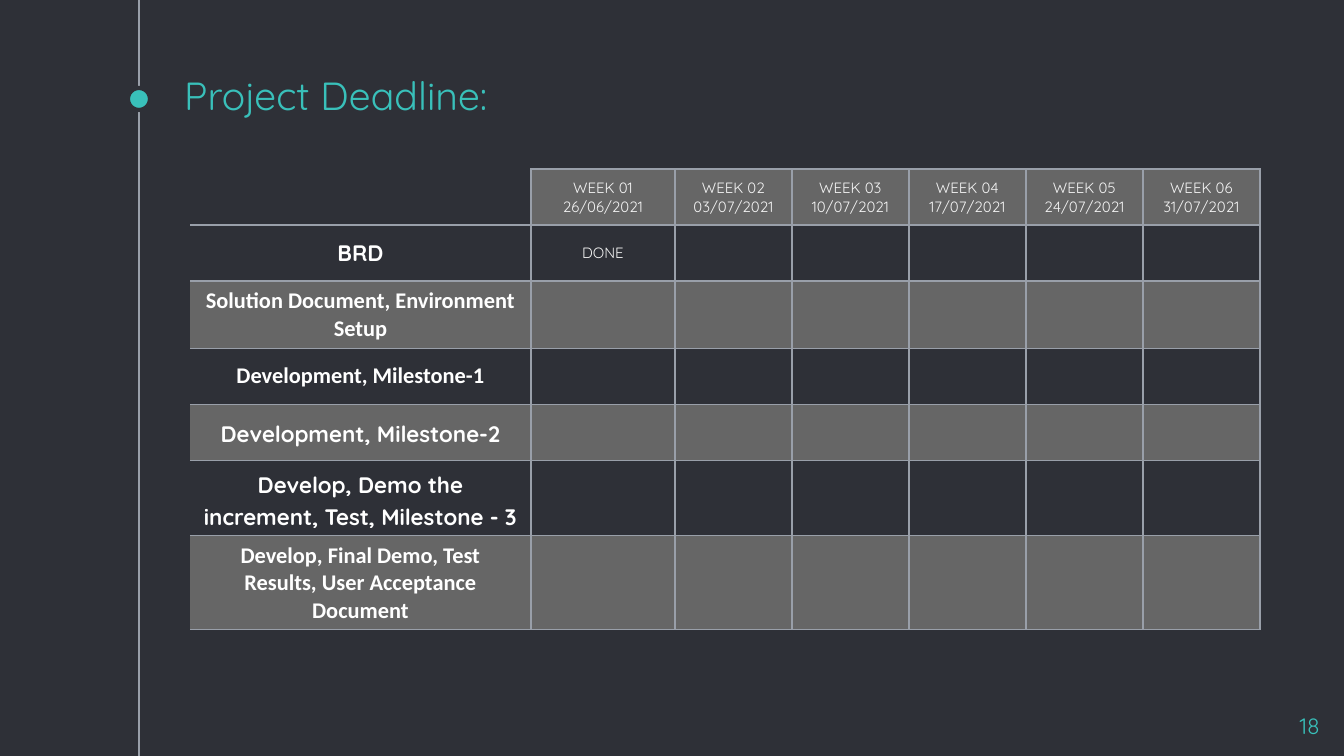
from dataclasses import dataclass

import lxml.etree
import pptx
import pptx.dml.color
import pptx.enum.shapes
import pptx.enum.text
import pptx.oxml.ns
import pptx.util

EMU_PER_PX = 914400 / 134.4
COLORS = {
    "background": "2E3037",
    "accent": "39C0BA",
    "line": "999FA9",
    "band": "666666",
    "label": "FFFFFF",
    "cell": "F3F3F3",
}
ALIGN = pptx.enum.text.PP_ALIGN
ANCHOR = pptx.enum.text.MSO_ANCHOR


@dataclass(frozen=True)
class Box:
    left: int
    top: int
    width: int
    height: int


@dataclass(frozen=True)
class Week:
    name: str
    date: str


@dataclass(frozen=True)
class Task:
    label: str
    font: str = "Quicksand"
    line_spacing: float | None = None
    space_before: int | None = None
    status: str = ""


WEEKS = [
    Week(f"WEEK {number:02d}", date)
    for number, date in enumerate(
        ["26/06/2021", "03/07/2021", "10/07/2021", "17/07/2021", "24/07/2021", "31/07/2021"], 1
    )
]
TASKS = [
    Task("BRD", status="DONE"),
    Task("Solution Document, Environment Setup", "Calibri"),
    Task("Development, Milestone-1", "Calibri"),
    Task("Development, Milestone-2", line_spacing=1.15, space_before=12),
    Task("Develop, Demo the increment, Test, Milestone - 3", line_spacing=1.15, space_before=12),
    Task("Develop, Final Demo, Test Results, User Acceptance Document", "Calibri"),
]
COLUMN_WIDTHS = [341, 144] + [117] * 5
ROW_HEIGHT = 56


def px(length: int) -> pptx.util.Emu:
    return pptx.util.Emu(round(length * EMU_PER_PX))


def place(box: Box) -> tuple:
    return px(box.left), px(box.top), px(box.width), px(box.height)


def rgb(name: str) -> pptx.dml.color.RGBColor:
    return pptx.dml.color.RGBColor.from_string(COLORS[name])


def write_text(frame, text: str, *, size: int, color: str, font: str = "Quicksand",
               bold: bool = False, align=ALIGN.LEFT, line_spacing: float | None = None,
               space_before: int | None = None) -> None:
    """Fill a text frame with one paragraph for each line of text."""
    frame.word_wrap = True
    for index, line in enumerate(text.split("\n")):
        para = frame.add_paragraph() if index else frame.paragraphs[0]
        para.alignment = align
        if line_spacing is not None:
            para.line_spacing = line_spacing
        if space_before is not None:
            para.space_before = pptx.util.Pt(space_before)
        span = para.add_run()
        span.text = line
        span.font.name = font
        span.font.size = pptx.util.Pt(size)
        span.font.bold = bold
        span.font.color.rgb = rgb(color)


def add_text_box(page, box: Box, text: str, *, anchor=ANCHOR.TOP, **text_format) -> None:
    frame = page.shapes.add_textbox(*place(box)).text_frame
    frame.margin_left = frame.margin_right = pptx.util.Inches(0.1)
    frame.margin_top = frame.margin_bottom = pptx.util.Inches(0.1)
    frame.vertical_anchor = anchor
    write_text(frame, text, **text_format)


def add_timeline(page) -> None:
    line = page.shapes.add_connector(
        pptx.enum.shapes.MSO_CONNECTOR.STRAIGHT, px(139), px(0), px(139), px(756)
    )
    line.line.color.rgb = rgb("line")
    line.line.width = pptx.util.Pt(0.75)
    properties = line._element.find(pptx.oxml.ns.qn("p:spPr"))
    lxml.etree.SubElement(properties, pptx.oxml.ns.qn("a:effectLst"))

    dot = page.shapes.add_shape(
        pptx.enum.shapes.MSO_SHAPE.OVAL, *place(Box(128, 88, 22, 22))
    )
    dot.shadow.inherit = False
    dot.fill.solid()
    dot.fill.fore_color.rgb = rgb("accent")
    dot.line.color.rgb = rgb("background")
    dot.line.width = pptx.util.Pt(2.25)


def set_borders(cell, hidden: set[str]) -> None:
    """Draw the four cell borders; the hidden sides get no line."""
    properties = cell._tc.get_or_add_tcPr()
    for index, side in enumerate(("lnL", "lnR", "lnT", "lnB")):
        border = lxml.etree.Element(pptx.oxml.ns.qn(f"a:{side}"), w="9525")
        properties.insert(index, border)
        if side in hidden:
            lxml.etree.SubElement(border, pptx.oxml.ns.qn("a:noFill"))
        else:
            fill = lxml.etree.SubElement(border, pptx.oxml.ns.qn("a:solidFill"))
            lxml.etree.SubElement(fill, pptx.oxml.ns.qn("a:srgbClr"), val=COLORS["line"])


def add_schedule(page) -> None:
    rows, columns = len(TASKS) + 1, len(COLUMN_WIDTHS)
    area = Box(190, 169, sum(COLUMN_WIDTHS), rows * ROW_HEIGHT)
    table = page.shapes.add_table(rows, columns, *place(area)).table
    table.first_row = table.horz_banding = False
    for column, width in zip(table.columns, COLUMN_WIDTHS):
        column.width = px(width)

    # Bands and borders
    for row_index, row in enumerate(table.rows):
        row.height = px(ROW_HEIGHT)
        for column_index, cell in enumerate(row.cells):
            corner = row_index == column_index == 0
            if corner:
                cell.fill.background()
            else:
                cell.fill.solid()
                cell.fill.fore_color.rgb = rgb("background" if row_index % 2 else "band")
            hidden = {"lnL"} if column_index == 0 else set()
            set_borders(cell, hidden | {"lnT"} if corner else hidden)
            cell.vertical_anchor = ANCHOR.MIDDLE

    # Week headings
    for index, week in enumerate(WEEKS, 1):
        write_text(table.cell(0, index).text_frame, f"{week.name}\n{week.date}",
                   size=8, color="cell", align=ALIGN.CENTER)

    # Task labels and status
    for index, task in enumerate(TASKS, 1):
        write_text(table.cell(index, 0).text_frame, task.label, size=12, color="label",
                   font=task.font, bold=True, align=ALIGN.CENTER,
                   line_spacing=task.line_spacing, space_before=task.space_before)
        if task.status:
            write_text(table.cell(index, 1).text_frame, task.status,
                       size=8, color="cell", align=ALIGN.CENTER)


def main() -> None:
    deck = pptx.Presentation()
    deck.slide_width, deck.slide_height = px(1344), px(756)
    page = deck.slides.add_slide(deck.slide_layouts[6])
    page.background.fill.solid()
    page.background.fill.fore_color.rgb = rgb("background")

    add_timeline(page)
    add_text_box(page, Box(171, 81, 1008, 51), "Project Deadline:",
                 anchor=ANCHOR.BOTTOM, size=21, color="accent")
    add_text_box(page, Box(1253, 699, 80, 46), "18",
                 size=12, color="accent", align=ALIGN.RIGHT)
    add_schedule(page)
    deck.save("out.pptx")


if __name__ == "__main__":
    main()
